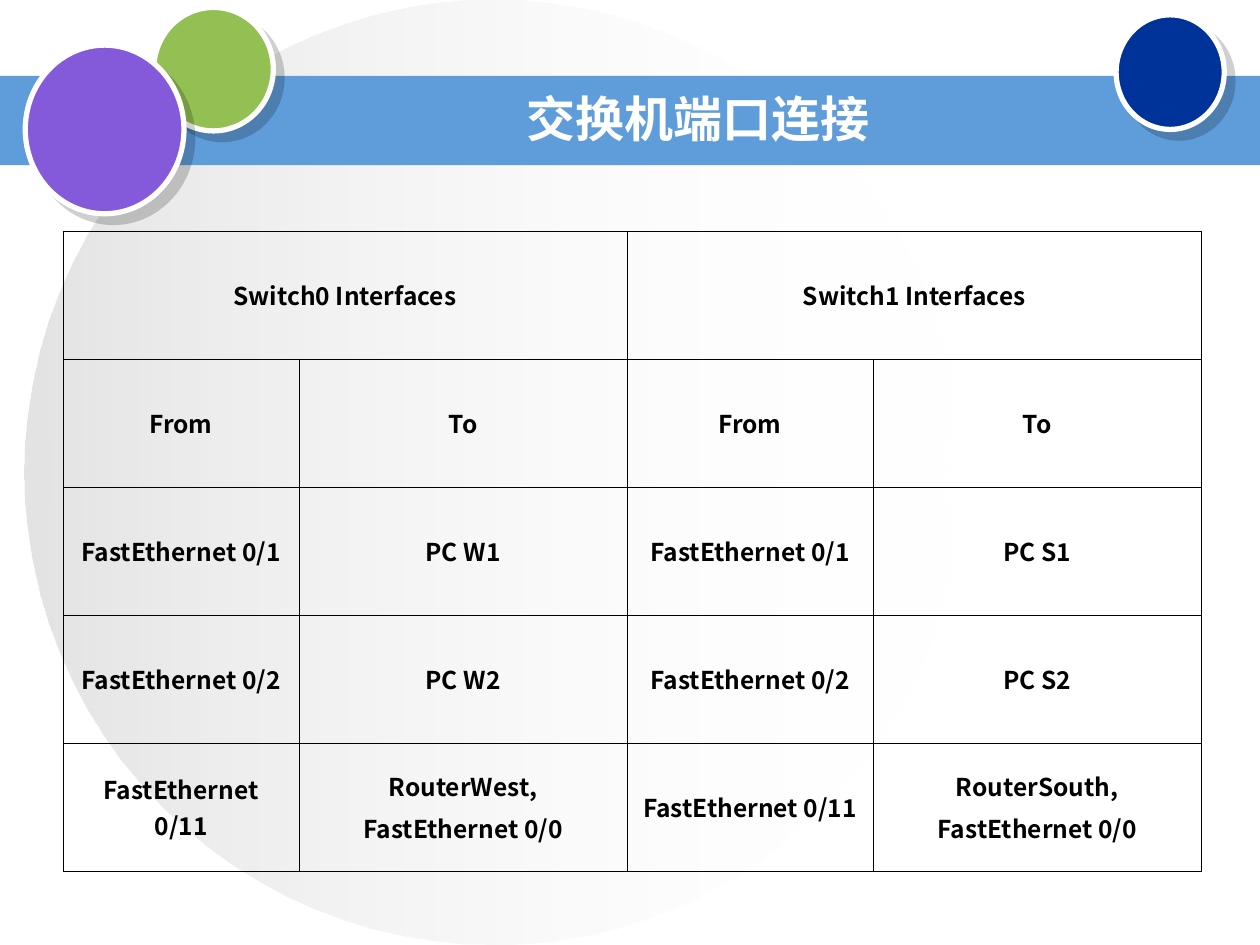
from lxml.etree import SubElement
from pptx import Presentation
from pptx.dml.color import RGBColor
from pptx.enum.shapes import MSO_SHAPE
from pptx.enum.text import MSO_ANCHOR, PP_ALIGN
from pptx.oxml.ns import qn
from pptx.util import Cm, Pt

# Content
TITLE = "交换机端口连接"
HEADINGS = ["Switch0 Interfaces", "Switch1 Interfaces"]
ROWS = [
    ["From", "To", "From", "To"],
    ["FastEthernet 0/1", "PC W1", "FastEthernet 0/1", "PC S1"],
    ["FastEthernet 0/2", "PC W2", "FastEthernet 0/2", "PC S2"],
    ["FastEthernet 0/11", "RouterWest,\nFastEthernet 0/0",
     "FastEthernet 0/11", "RouterSouth,\nFastEthernet 0/0"],
]

# Theme and geometry (cm)
THEME = dict(
    band="5E9CDA", green="93C052", navy="003399", purple="855ADA",
    white="FFFFFF", black="000000", grey="C0C0C0",
    title_font="Arial", title_size=28,
    table_font="Noto Sans CJK SC", table_size=14,
)
BALLS = [
    ("green", (3.1, 0.15, 2.41, 2.49)),
    ("navy", (22.5, 0.3, 2.18, 2.31)),
    ("purple", (0.51, 0.91, 3.2, 3.4)),
]
COL_WIDTHS = [4.76, 6.61, 4.96, 6.62]
ROW_HEIGHT = 2.58
TABLE_LEFT, TABLE_TOP = 1.27, 4.66


def rgb(name):
    return RGBColor.from_string(THEME[name])


def add_alpha(color, percent):
    SubElement(color, qn("a:alpha"), val=str(percent * 1000))


def add_plain(s, kind, box):
    sp = s.shapes.add_shape(kind, *map(Cm, box))
    sp.shadow.inherit = False
    sp.line.fill.background()
    return sp


def add_ball(s, color, box):
    sp = add_plain(s, MSO_SHAPE.OVAL, box)
    sp.fill.solid()
    sp.fill.fore_color.rgb = rgb(color)
    sp.line.color.rgb = rgb("white")
    sp.line.width = Pt(3)
    effects = sp.element.spPr.find(qn("a:effectLst"))
    shadow = SubElement(effects, qn("a:outerShdw"), blurRad="0", dist=str(Pt(7.1)),
                        dir=str(45 * 60000), algn="ctr", rotWithShape="0")
    add_alpha(SubElement(shadow, qn("a:srgbClr"), val=THEME["black"]), 19)


def set_borders(cell):
    tcPr = cell._tc.get_or_add_tcPr()
    for i, side in enumerate(("lnL", "lnR", "lnT", "lnB")):
        ln = tcPr.makeelement(qn(f"a:{side}"), w=str(Pt(0.23)))
        tcPr.insert(i, ln)
        SubElement(SubElement(ln, qn("a:solidFill")), qn("a:srgbClr"), val=THEME["black"])


def fill_cell(cell, text):
    cell.text = text
    cell.vertical_anchor = MSO_ANCHOR.MIDDLE
    for p in cell.text_frame.paragraphs:
        p.alignment = PP_ALIGN.CENTER
        p.space_before = Pt(3.5)
        p.font.name = THEME["table_font"]
        p.font.size = Pt(THEME["table_size"])
        p.font.bold = True
        p.font.color.rgb = rgb("black")


prs = Presentation()
prs.slide_width, prs.slide_height = Cm(25.4), Cm(19.05)
s = prs.slides.add_slide(prs.slide_layouts[5])

# Faded background disc
disc = add_plain(s, MSO_SHAPE.OVAL, (0.5, 0, 18.9, 19.05))
disc.fill.gradient()
disc.fill.gradient_angle = 0
for stop, (color, alpha) in zip(disc.fill.gradient_stops, [("grey", 44), ("white", 0)]):
    stop.color.rgb = rgb(color)
for color, alpha in zip(disc.element.spPr.iter(qn("a:srgbClr")), (44, 0)):
    add_alpha(color, alpha)

# Title band and balls
band = add_plain(s, MSO_SHAPE.RECTANGLE, (0, 1.53, 25.4, 1.8))
band.fill.solid()
band.fill.fore_color.rgb = rgb("band")
for color, box in BALLS:
    add_ball(s, color, box)

# Port table
table = s.shapes.add_table(
    len(ROWS) + 1, len(COL_WIDTHS), Cm(TABLE_LEFT), Cm(TABLE_TOP),
    Cm(sum(COL_WIDTHS)), Cm(ROW_HEIGHT * (len(ROWS) + 1))).table
table.first_row = table.horz_banding = False
for col, width in zip(table.columns, COL_WIDTHS):
    col.width = Cm(width)
for row in table.rows:
    row.height = Cm(ROW_HEIGHT)
for cell in table.iter_cells():
    cell.fill.background()
    set_borders(cell)
for i, heading in enumerate(HEADINGS):
    cell = table.cell(0, 2 * i)
    cell.merge(table.cell(0, 2 * i + 1))
    fill_cell(cell, heading)
for r, row in enumerate(ROWS, start=1):
    for c, text in enumerate(row):
        fill_cell(table.cell(r, c), text)

# Title, brought in front of the band
title = s.shapes.title
title.left, title.top, title.width, title.height = map(Cm, (5.72, 1.7, 16.71, 1.35))
title.text = TITLE
tf = title.text_frame
tf.vertical_anchor = MSO_ANCHOR.MIDDLE
p = tf.paragraphs[0]
p.alignment = PP_ALIGN.CENTER
p.font.name = THEME["title_font"]
p.font.size = Pt(THEME["title_size"])
p.font.bold = True
p.font.color.rgb = rgb("white")
title.element.getparent().append(title.element)

prs.save("out.pptx")
